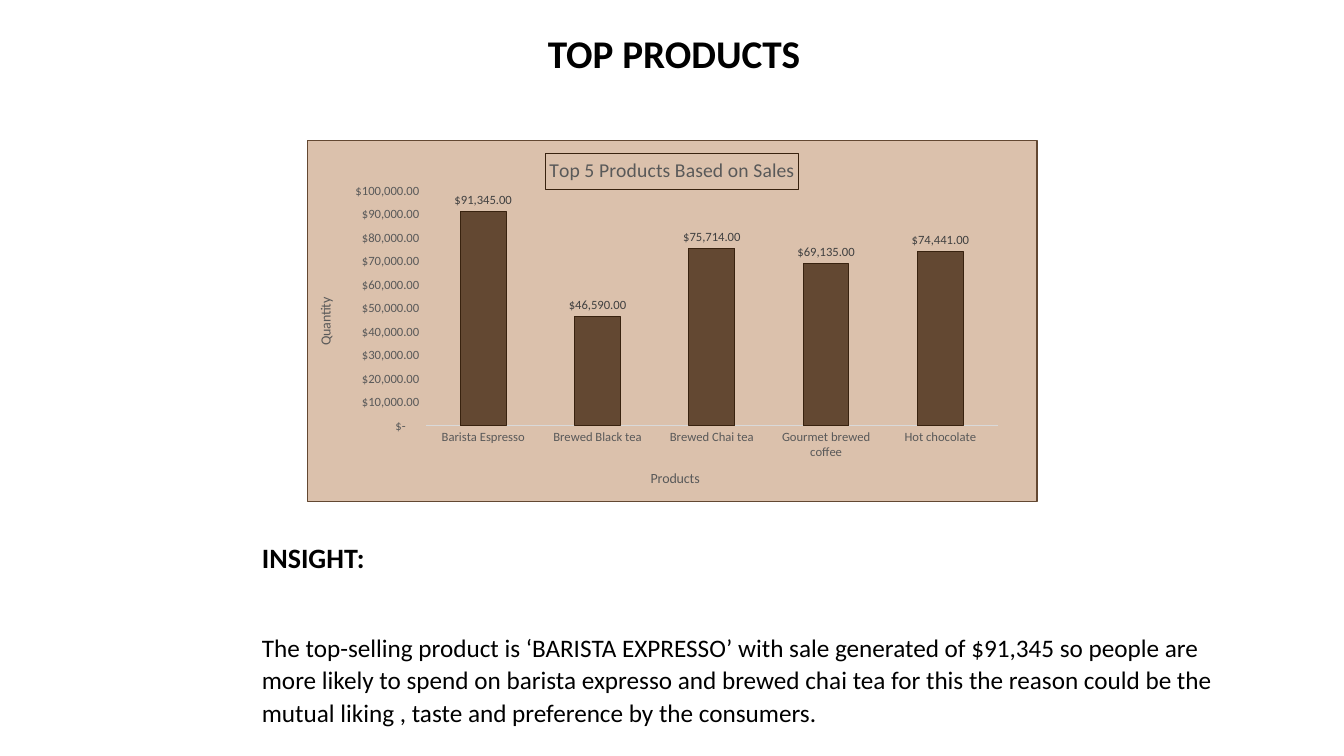
from pptx import Presentation
from pptx import oxml
from pptx import util as u
from pptx.chart import data as chart_data
from pptx.dml.color import RGBColor
from pptx.enum import chart as charts, text
from pptx.oxml import ns

BLACK = RGBColor(0x00, 0x00, 0x00)
GREY = RGBColor(0x59, 0x59, 0x59)
LABEL_GREY = RGBColor(0x40, 0x40, 0x40)
AXIS_GREY = RGBColor(0xD9, 0xD9, 0xD9)
LATTE = RGBColor(0xDB, 0xC1, 0xAC)
COFFEE = RGBColor(0x63, 0x48, 0x32)
ESPRESSO = RGBColor(0x38, 0x22, 0x0F)

DOLLARS = ('_-[$$-409]* #,##0.00_ ;_-[$$-409]* \\-#,##0.00\\ ;'
           '_-[$$-409]* "-"??_ ;_-@_ ')
SALES = {
    "Barista Espresso": 91345,
    "Brewed Black tea": 46590,
    "Brewed Chai tea": 75714,
    "Gourmet brewed coffee": 69135,
    "Hot chocolate": 74441,
}


def style_font(font, size, color=GREY, bold=False):
    font.name = "Calibri"
    font.size = u.Pt(size)
    font.bold = bold
    font.color.rgb = color


def write(para, words, size=18, color=BLACK, bold=False, align=None,
          line_spacing=None, after=0):
    span = para.add_run()
    span.text = words
    style_font(span.font, size, color, bold)
    para.alignment = align
    para.line_spacing = line_spacing
    para.space_after = u.Pt(after)


def outline(line, color):
    line.color.rgb = color
    line.width = u.Pt(0.75)


def area_format(fill, border=None):
    """Fill and border properties for a chart area."""
    edge = (f'<a:ln w="{u.Pt(0.75)}"><a:solidFill><a:srgbClr val="{border}"/>'
            '</a:solidFill></a:ln>' if border else '<a:ln><a:noFill/></a:ln>')
    return oxml.parse_xml(
        f'<c:spPr {ns.nsdecls("c", "a")}><a:solidFill><a:srgbClr val="{fill}"/>'
        f'</a:solidFill>{edge}</c:spPr>')


class SlideBuilder:
    """Places elements by percent of the slide's width and height."""

    def __init__(self, deck):
        self.deck = deck
        self.page = deck.slides.add_slide(deck.slide_layouts[6])

    def area(self, left, top, width, height):
        across, down = self.deck.slide_width, self.deck.slide_height
        return [int(share * full / 100) for share, full in
                zip((left, top, width, height), (across, down, across, down))]

    def text_box(self, place, paragraphs, wrap=True):
        box = self.page.shapes.add_textbox(*self.area(*place))
        frame = box.text_frame
        frame.word_wrap = wrap
        frame.auto_size = text.MSO_AUTO_SIZE.SHAPE_TO_FIT_TEXT
        for index, (words, style) in enumerate(paragraphs):
            para = frame.add_paragraph() if index else frame.paragraphs[0]
            write(para, words, **style)

    def column_chart(self, place, title, values, plot_place):
        table = chart_data.CategoryChartData(number_format=DOLLARS)
        table.categories = list(values)
        table.add_series("Series 1", list(values.values()))
        chart = self.page.shapes.add_chart(
            charts.XL_CHART_TYPE.COLUMN_CLUSTERED, *self.area(*place), table).chart
        style_font(chart.font, 10, BLACK)
        chart.has_legend = False

        # Title with its frame
        chart.has_title = True
        write(chart.chart_title.text_frame.paragraphs[0], title, 14, GREY)
        outline(chart.chart_title.format.line, ESPRESSO)
        chart.chart_title.include_in_layout = False

        # Columns and value labels
        plot = chart.plots[0]
        plot.gap_width = 150
        plot.vary_by_categories = False
        columns = plot.series[0]
        columns.format.fill.solid()
        columns.format.fill.fore_color.rgb = COFFEE
        outline(columns.format.line, ESPRESSO)
        labels = columns.data_labels
        labels.show_value = True
        labels.position = charts.XL_LABEL_POSITION.OUTSIDE_END
        labels.number_format = DOLLARS
        labels.number_format_is_linked = False
        style_font(labels.font, 9, LABEL_GREY)

        # Axes
        for axis, name in ((chart.category_axis, "Products"),
                           (chart.value_axis, "Quantity")):
            axis.has_title = True
            write(axis.axis_title.text_frame.paragraphs[0], name, 10, GREY)
            axis.major_tick_mark = charts.XL_TICK_MARK.NONE
            axis.minor_tick_mark = charts.XL_TICK_MARK.NONE
            axis.has_major_gridlines = False
            style_font(axis.tick_labels.font, 9)
        outline(chart.category_axis.format.line, AXIS_GREY)
        chart.value_axis.format.line.fill.background()
        chart.value_axis.minimum_scale = 0
        chart.value_axis.maximum_scale = 100000
        chart.value_axis.major_unit = 10000
        chart.value_axis.tick_labels.number_format = DOLLARS
        chart.value_axis.tick_labels.number_format_is_linked = False

        # Backgrounds and plot position
        space = chart.element
        space.find(ns.qn("c:chart")).addnext(area_format(LATTE, COFFEE))
        plot_area = space.find(".//" + ns.qn("c:plotArea"))
        plot_area.append(area_format(LATTE))
        for old in plot_area.findall(ns.qn("c:layout")):
            plot_area.remove(old)
        sizes = "".join(f'<c:{key} val="{share / 100}"/>'
                        for key, share in zip("xywh", plot_place))
        plot_area.insert(0, oxml.parse_xml(
            f'<c:layout {ns.nsdecls("c")}><c:manualLayout>'
            '<c:layoutTarget val="inner"/><c:xMode val="edge"/>'
            f'<c:yMode val="edge"/>{sizes}</c:manualLayout></c:layout>'))


def main():
    deck = Presentation()
    deck.slide_width, deck.slide_height = u.Inches(13.33), u.Inches(7.5)
    slide = SlideBuilder(deck)

    # Heading
    slide.text_box((39.91, 3.2, 20.48, 7.6), [
        ("TOP PRODUCTS", dict(size=28, bold=True, align=text.PP_ALIGN.CENTER)),
    ], wrap=False)

    # Sales chart
    slide.column_chart((22.81, 18.53, 54.39, 47.87),
                       "Top 5 Products Based on Sales", SALES,
                       plot_place=(16.3, 14, 78.3, 65.1))

    # Insight
    slide.text_box((18.75, 70.53, 75.62, 26.27), [
        ("INSIGHT:", dict(size=20, bold=True, line_spacing=1.07, after=40)),
        ("The top-selling product is ‘BARISTA EXPRESSO’ with sale generated of "
         "$91,345 so people are more likely to spend on barista expresso and "
         "brewed chai tea for this the reason could be the mutual liking , taste "
         "and preference by the consumers.", dict(line_spacing=1.07, after=8)),
    ])

    deck.save("out.pptx")


if __name__ == "__main__":
    main()
